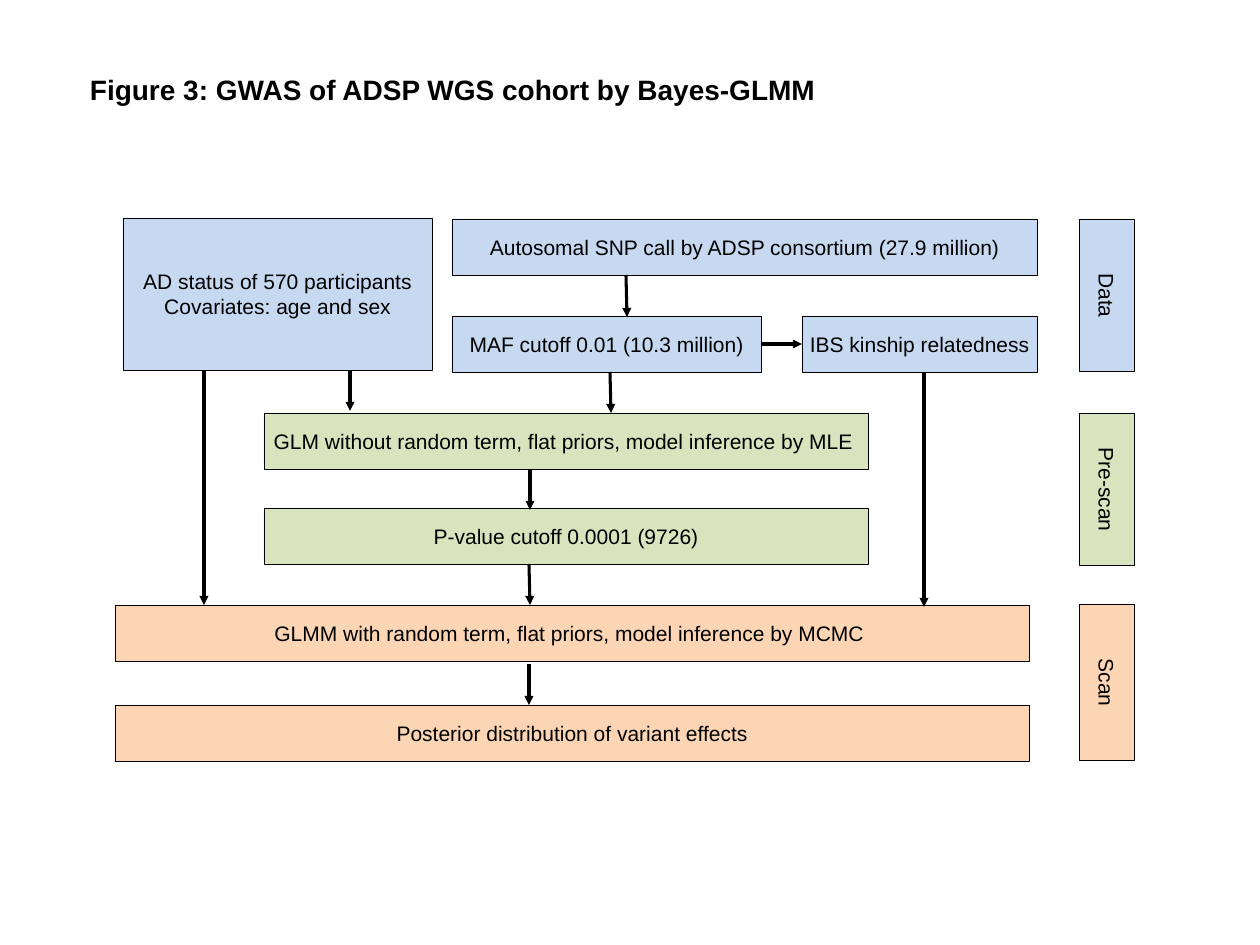
from dataclasses import dataclass

from lxml import etree
from pptx import Presentation, util as u
from pptx.dml.color import RGBColor
from pptx.enum import shapes, text
from pptx.oxml import ns

PX = 914400 / 63  # EMU in one px

BLACK = RGBColor(0x00, 0x00, 0x00)
DATA_BLUE = RGBColor(0xC6, 0xD9, 0xF1)
PRESCAN_GREEN = RGBColor(0xD7, 0xE4, 0xBD)
SCAN_ORANGE = RGBColor(0xFC, 0xD5, 0xB5)

STEP_HEIGHT = 56
STAGE_X, STAGE_THICKNESS = 1107, 55

FONT = {"name": "Arial", "size": u.Pt(24)}
TITLE_FONT = {"name": "Arial", "size": u.Pt(32), "bold": True}


@dataclass
class Box:
    label: str
    left: int
    top: int
    width: int
    color: RGBColor
    height: int = STEP_HEIGHT
    rotation: int = 0


@dataclass
class Arrow:
    x1: int
    y1: int
    x2: int
    y2: int


def stage(label: str, top: int, length: int, color: RGBColor) -> Box:
    """A label strip turned to read downwards beside its steps."""
    left = STAGE_X - length // 2
    unturned_top = top + (length - STAGE_THICKNESS) // 2
    return Box(label, left, unturned_top, length, color, STAGE_THICKNESS, 90)


MAF = Box("MAF cutoff 0.01 (10.3 million)", 452, 316, 309, DATA_BLUE)
IBS = Box("IBS kinship relatedness", 802, 316, 235, DATA_BLUE)
BOXES = [
    Box("Autosomal SNP call by ADSP consortium (27.9 million)",
        452, 219, 585, DATA_BLUE),
    MAF,
    Box("AD status of 570 participants\nCovariates: age and sex",
        123, 218, 309, DATA_BLUE, 152),
    IBS,
    Box("GLM without random term, flat priors, model inference by MLE ",
        264, 413, 604, PRESCAN_GREEN),
    Box("P-value cutoff 0.0001 (9726)", 264, 508, 604, PRESCAN_GREEN),
    Box("GLMM with random term, flat priors, model inference by MCMC ",
        115, 605, 914, SCAN_ORANGE),
    Box("Posterior distribution of variant effects",
        115, 705, 914, SCAN_ORANGE),
    stage("Data", 220, 152, DATA_BLUE),
    stage("Pre-scan", 414, 152, PRESCAN_GREEN),
    stage("Scan", 605, 156, SCAN_ORANGE),
]
MAF_TO_IBS = Arrow(761, 344, 802, 344)
ARROWS = [
    Arrow(626, 275, 627, 317),
    Arrow(350, 370, 350, 411),
    Arrow(610, 372, 611, 413),
    Arrow(530, 469, 530, 510),
    Arrow(204, 370, 204, 605),
    Arrow(529, 564, 530, 605),
    Arrow(924, 372, 924, 607),
    Arrow(529, 664, 529, 705),
]


def emu(*lengths: int) -> list[u.Emu]:
    return [u.Emu(round(length * PX)) for length in lengths]


def apply(target, values: dict) -> None:
    for name, value in values.items():
        setattr(target, name, value)


def write(frame, content: str, font: dict, align) -> None:
    for index, line in enumerate(content.split("\n")):
        para = frame.add_paragraph() if index else frame.paragraphs[0]
        para.alignment = align
        span = para.add_run()
        span.text = line
        apply(span.font, font)
        span.font.color.rgb = BLACK


def draw_title(page, content: str):
    title = page.shapes.add_textbox(*emu(77, 67, 757, 47))
    side, edge = emu(13, 6)
    apply(title.text_frame, {
        "word_wrap": False, "auto_size": text.MSO_AUTO_SIZE.SHAPE_TO_FIT_TEXT,
        "margin_left": side, "margin_right": side,
        "margin_top": edge, "margin_bottom": edge})
    write(title.text_frame, content, TITLE_FONT, text.PP_ALIGN.LEFT)


def draw_box(page, box: Box):
    shape = page.shapes.add_shape(
        shapes.MSO_SHAPE.RECTANGLE,
        *emu(box.left, box.top, box.width, box.height))
    shape.rotation = box.rotation
    shape.shadow.inherit = False
    shape.fill.solid()
    shape.fill.fore_color.rgb = box.color
    shape.line.color.rgb = BLACK
    shape.line.width = u.Pt(0.75)
    apply(shape.text_frame, {
        "word_wrap": True, "vertical_anchor": text.MSO_ANCHOR.MIDDLE})
    write(shape.text_frame, box.label, FONT, text.PP_ALIGN.CENTER)
    return shape


def draw_arrow(page, arrow: Arrow):
    connector = page.shapes.add_connector(
        shapes.MSO_CONNECTOR.STRAIGHT,
        *emu(arrow.x1, arrow.y1, arrow.x2, arrow.y2))
    connector.line.color.rgb = BLACK
    connector.line.width = u.Pt(3.5)
    line = connector.line._get_or_add_ln()
    etree.SubElement(line, ns.qn("a:tailEnd"), type="triangle")
    etree.SubElement(connector._element.spPr, ns.qn("a:effectLst"))
    return connector


def main() -> None:
    deck = Presentation()
    deck.slide_width, deck.slide_height = u.Inches(20), u.Inches(15)
    page = deck.slides.add_slide(deck.slide_layouts[6])

    # Title
    draw_title(page, "Figure 3: GWAS of ADSP WGS cohort by Bayes-GLMM")

    # Steps and stage labels
    drawn = {box.label: draw_box(page, box) for box in BOXES}

    # Flow between the steps
    for arrow in ARROWS:
        draw_arrow(page, arrow)
    link = draw_arrow(page, MAF_TO_IBS)
    link.begin_connect(drawn[MAF.label], 3)
    link.end_connect(drawn[IBS.label], 1)

    deck.save("out.pptx")


if __name__ == "__main__":
    main()
